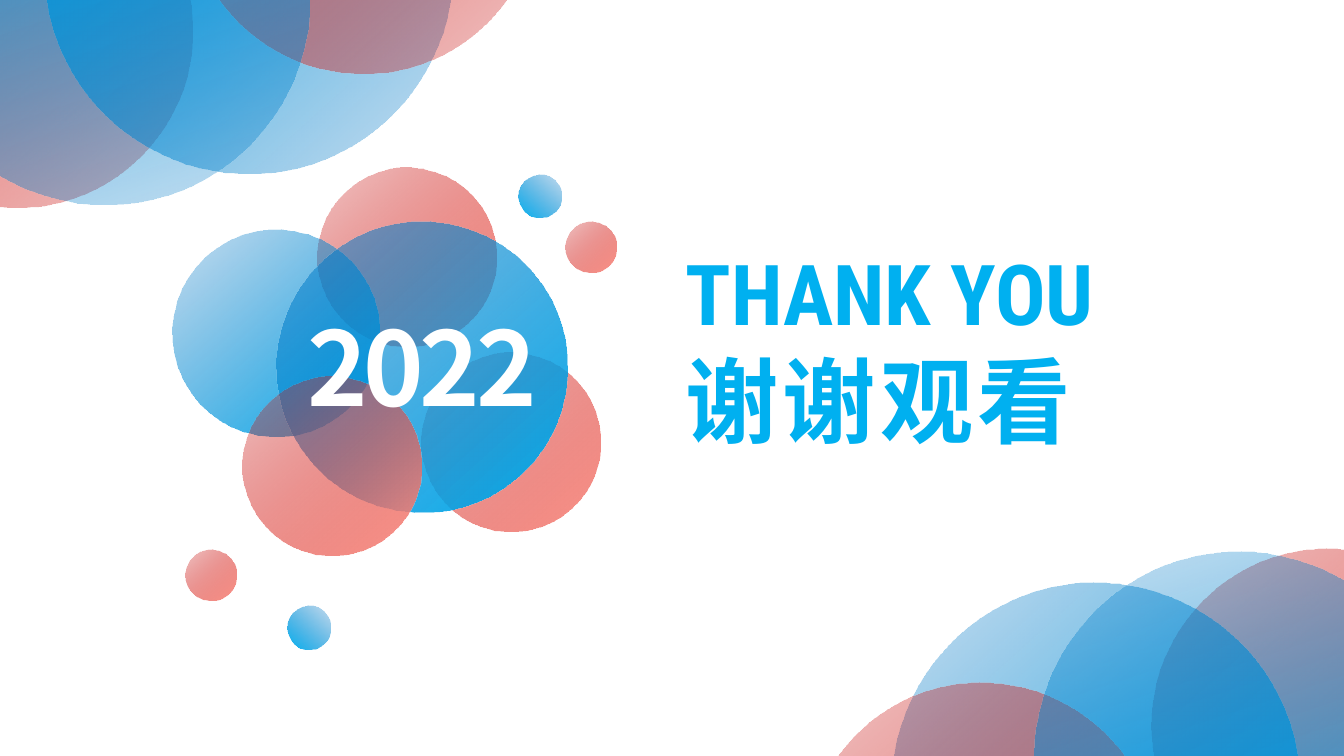
from lxml.etree import SubElement
from pptx import Presentation
from pptx.dml.color import RGBColor
from pptx.enum.shapes import MSO_SHAPE
from pptx.enum.text import MSO_AUTO_SIZE, PP_ALIGN
from pptx.oxml.ns import qn
from pptx.util import Inches, Pt

WIDTH = 10
HEIGHT = WIDTH * 9 / 16

THEME = {
    "red": ("C00000", "FE978C"),
    "blue": ("0070C0", "00B0F0"),
    "title": "00B0F0",
    "year": "FFFFFF",
    "latin_font": "Roboto Condensed",
    "chinese_font": "Noto Sans CJK SC",
    "year_size": 55,
    "english_size": 45,
    "chinese_size": 50,
    "faint": 22,
    "medium": 44,
}

# Corner circles: centre x, centre y, diameter, colour, rotation
CORNER = [
    (0.12, 0.23, 2.63, "red", 93),
    (1.85, -0.23, 3.04, "blue", 93),
    (2.7, -0.77, 2.63, "red", 93),
    (0.78, 0, 3.04, "blue", 116.7),
]

# Cluster circles: centre x, centre y, diameter, colour, opacity, mirrored
CLUSTER = [
    (3.03, 1.91, 1.33, "red", "faint", False),
    (3.8, 3.29, 1.33, "red", "faint", False),
    (2.05, 2.48, 1.54, "blue", "faint", False),
    (3.14, 2.73, 2.16, "blue", "medium", False),
    (4.02, 1.46, 0.32, "blue", "faint", True),
    (4.4, 1.84, 0.38, "red", "faint", False),
    (2.47, 3.47, 1.33, "red", "faint", False),
    (2.3, 4.67, 0.32, "blue", "faint", True),
    (1.57, 4.28, 0.38, "red", "faint", False),
]

YEAR = [("2022", "chinese_font", "year_size", -2.2)]
THANKS = [
    ("THANK YOU", "latin_font", "english_size", 0),
    ("谢谢观看", "chinese_font", "chinese_size", 2.2),
]


def add_circle(shapes, x, y, diameter, color, rotation, opacity="faint", mirrored=False):
    """Add a circle around a centre, fading from see-through to solid."""
    radius = diameter / 2
    circle = shapes.add_shape(
        MSO_SHAPE.OVAL, Inches(x - radius), Inches(y - radius), Inches(diameter), Inches(diameter)
    )
    circle.shadow.inherit = False
    circle.line.fill.background()
    circle.rotation = rotation
    if mirrored:
        circle.element.spPr.find(qn("a:xfrm")).set("flipH", "1")
    circle.fill.gradient()
    circle.fill.gradient_angle = 225
    stops = circle.fill.gradient_stops
    for stop, position, value in zip(stops, (0, 1), THEME[color]):
        stop.position = position
        stop.color.rgb = RGBColor.from_string(value)
    first_color = next(circle.element.spPr.iter(qn("a:srgbClr")))
    SubElement(first_color, qn("a:alpha")).set("val", str(THEME[opacity] * 1000))


def add_text(slide, lines, left, top, width, height, color, align=PP_ALIGN.LEFT):
    """Add a text box with one paragraph for each line."""
    box = slide.shapes.add_textbox(Inches(left), Inches(top), Inches(width), Inches(height))
    frame = box.text_frame
    frame.word_wrap = True
    frame.auto_size = MSO_AUTO_SIZE.SHAPE_TO_FIT_TEXT
    frame.margin_left = frame.margin_right = Inches(0.04)
    frame.margin_top = frame.margin_bottom = Inches(0.04)
    for index, (text, font, size, spacing) in enumerate(lines):
        paragraph = frame.add_paragraph() if index else frame.paragraphs[0]
        paragraph.alignment = align
        run = paragraph.add_run()
        run.text = text
        run.font.name = THEME[font]
        run.font.size = Pt(THEME[size])
        run.font.bold = True
        run.font.color.rgb = RGBColor.from_string(THEME[color])
        properties = run.font._element
        SubElement(properties, qn("a:ea")).set("typeface", THEME[font])
        if spacing:
            properties.set("spc", str(round(spacing * 100)))


def main():
    presentation = Presentation()
    presentation.slide_width, presentation.slide_height = Inches(WIDTH), Inches(HEIGHT)
    slide = presentation.slides.add_slide(presentation.slide_layouts[6])

    # Top left corner, and the same corner after a half turn of the slide
    top_left, bottom_right = slide.shapes.add_group_shape(), slide.shapes.add_group_shape()
    for x, y, diameter, color, rotation in CORNER:
        add_circle(top_left.shapes, x, y, diameter, color, rotation)
        add_circle(bottom_right.shapes, WIDTH - x, HEIGHT - y, diameter, color, rotation + 180)

    # Cluster around the year
    for x, y, diameter, color, opacity, mirrored in CLUSTER:
        rotation = 87 if mirrored else 273
        add_circle(slide.shapes, x, y, diameter, color, rotation, opacity, mirrored)

    # Year and thanks
    add_text(slide, YEAR, 2.08, 2.22, 2.12, 0.99, "year", align=PP_ALIGN.CENTER)
    add_text(slide, THANKS, 5.06, 1.76, 4.45, 1.8, "title")

    presentation.save("out.pptx")


if __name__ == "__main__":
    main()
